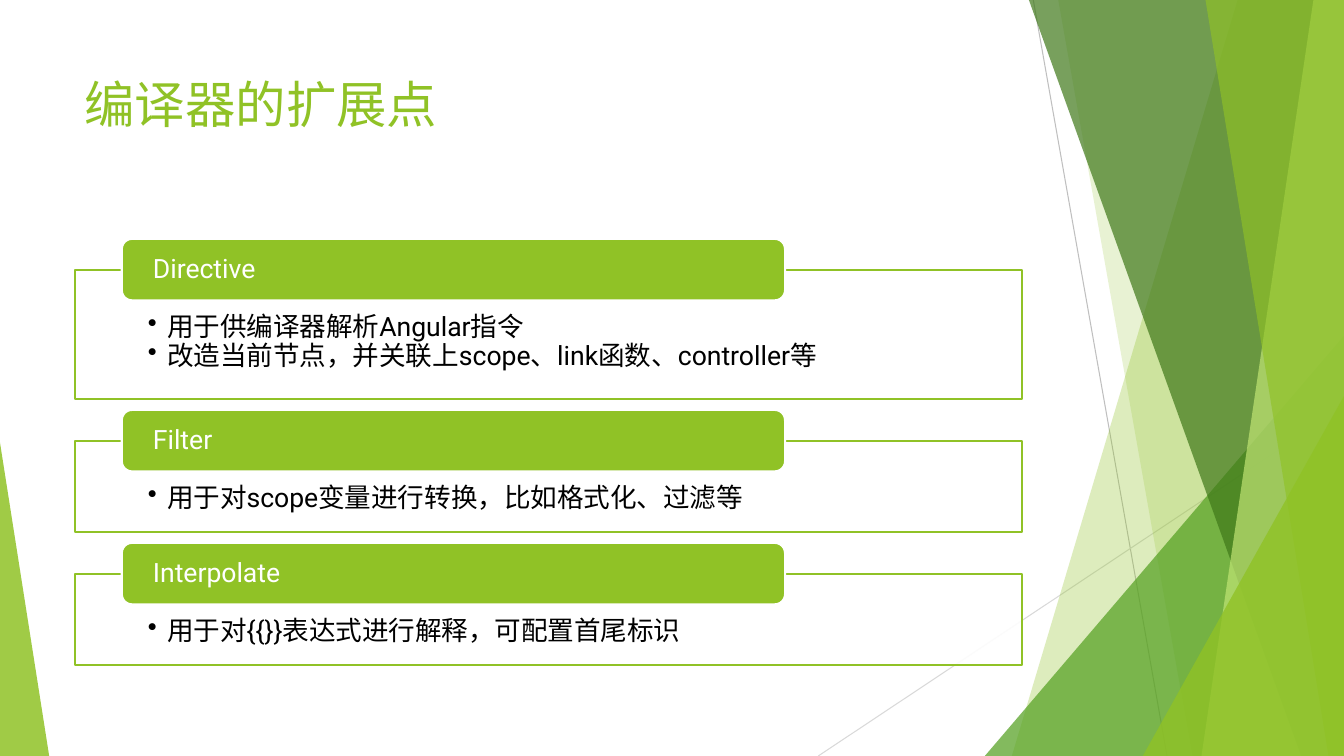
from collections import namedtuple

from lxml import etree
from pptx import Presentation
from pptx.dml.color import RGBColor
from pptx.enum.shapes import MSO_CONNECTOR, MSO_SHAPE
from pptx.enum.text import MSO_ANCHOR, MSO_AUTO_SIZE, PP_ALIGN
from pptx.oxml.ns import qn
from pptx.util import Cm, Pt

STRAIGHT = MSO_CONNECTOR.STRAIGHT
RECTANGLE = MSO_SHAPE.RECTANGLE
ROUNDED = MSO_SHAPE.ROUNDED_RECTANGLE
TRIANGLE = MSO_SHAPE.ISOSCELES_TRIANGLE
TOP, MIDDLE = MSO_ANCHOR.TOP, MSO_ANCHOR.MIDDLE
LEFT = PP_ALIGN.LEFT
NO_AUTOFIT = MSO_AUTO_SIZE.NONE

FONT = "Roboto"
COLORS = {
    "lime": "90C226",
    "green": "54A021",
    "forest": "3F7819",
    "pale": "C0E474",
    "white": "FFFFFF",
    "black": "000000",
    "gray": "BFBFBF",
    "silver": "D9D9D9",
}
Box = namedtuple("Box", "left top width height")
PAGE = Box(0, 0, 33.87, 19.05)
TITLE = Box(1.88, 1.7, 23.88, 3.66)
PANELS = Box(1.88, 6.81, 23.88, 9.95)
PANEL_GAP = 1.06
ONE_LINE_HEIGHT = 2.29
EXTRA_LINE_HEIGHT = 0.96

EXTENSION_POINTS = [
    ("Directive", ["用于供编译器解析Angular指令",
                   "改造当前节点，并关联上scope、link函数、controller等"]),
    ("Filter", ["用于对scope变量进行转换，比如格式化、过滤等"]),
    ("Interpolate", ["用于对{{}}表达式进行解释，可配置首尾标识"]),
]


def color(name):
    return RGBColor.from_string(COLORS[name])


def lengths(box):
    return [Cm(value) for value in box]


def paint(shape, fill, opacity=100, line=None):
    shape.shadow.inherit = False
    shape.fill.solid()
    shape.fill.fore_color.rgb = color(fill)
    if opacity < 100:
        tint = shape.fill._xPr.find(qn("a:solidFill"))[0]
        etree.SubElement(tint, qn("a:alpha"), val=str(opacity * 1000))
    if line:
        shape.line.color.rgb = color(line)
        shape.line.width = Pt(1.5)
    else:
        shape.line.fill.background()


def write(shape, texts, size, ink, insets, anchor, spacing=1.0):
    frame = shape.text_frame
    frame.word_wrap = True
    frame.auto_size = NO_AUTOFIT
    frame.vertical_anchor = anchor
    (frame.margin_left, frame.margin_top,
     frame.margin_right, frame.margin_bottom) = lengths(insets)
    frame.text = "\n".join(texts)
    for para in frame.paragraphs:
        para.alignment = LEFT
        para.line_spacing = spacing
        para.space_after = Pt(0)
        para.font.name = FONT
        para.font.size = Pt(size)
        para.font.color.rgb = color(ink)
    return frame


def add_bullet(para):
    properties = para._p.get_or_add_pPr()
    properties.set("marL", str(Cm(0.48)))
    properties.set("indent", str(-Cm(0.48)))
    bullet = etree.Element(qn("a:buChar"), char="•")
    properties.find(qn("a:defRPr")).addprevious(bullet)


def add_ray(page, start, end, ink):
    ray = page.shapes.add_connector(STRAIGHT, *lengths(start + end))
    ray.line.color.rgb = color(ink)
    ray.line.width = Pt(0.75)
    etree.SubElement(ray._element.spPr, qn("a:effectLst"))


def add_facet(page, box, top_left, bottom_left, fill, opacity):
    right, bottom = box.left + box.width, box.top + box.height
    corners = [(right, box.top), (right, bottom), (bottom_left, bottom)]
    outline = page.shapes.build_freeform(Cm(top_left), Cm(box.top))
    outline.add_line_segments([lengths(corner) for corner in corners])
    paint(outline.convert_to_shape(), fill, opacity)


def add_corner(page, box, left, width, height, apex, fill, opacity):
    place = Box(left, box.top + box.height - height, width, height)
    corner = page.shapes.add_shape(TRIANGLE, *lengths(place))
    corner.adjustments[0] = apex
    paint(corner, fill, opacity)


def add_backdrop(page, box):
    right, bottom = box.left + box.width, box.top + box.height
    add_ray(page, (26.04, box.top), (29.41, bottom), "gray")
    add_ray(page, (right, 10.24), (20.62, bottom), "silver")
    add_facet(page, box, 31.19, 25.5, "lime", 30)
    add_facet(page, box, 26.67, 30.05, "lime", 20)
    add_corner(page, box, right - 9.05, 9.05, 10.59, 1, "green", 72)
    add_facet(page, box, 25.93, 32.79, "forest", 70)
    add_facet(page, box, 33.1, 30.28, "pale", 70)
    add_facet(page, box, 30.38, 33.48, "lime", 65)
    add_corner(page, box, right - 5.07, 5.07, 9.07, 1, "lime", 80)
    add_corner(page, box, box.left, 1.24, 7.9, 0, "lime", 85)


def add_title(page, box, text):
    title = page.shapes.title
    title.left, title.top, title.width, title.height = lengths(box)
    write(title, [text], 36, "lime", Box(0.25, 0.13, 0.25, 0.13), TOP)


def add_panel(page, box, heading, points):
    body = page.shapes.add_shape(RECTANGLE, *lengths(box))
    paint(body, "white", 90, "lime")
    frame = write(body, points, 19, "black",
                  Box(1.85, 1.09, 1.85, 0.38), TOP, 0.9)
    for para in frame.paragraphs:
        add_bullet(para)
    place = Box(box.left + 1.19, box.top - 0.79, box.width * 0.7, 1.55)
    tab = page.shapes.add_shape(ROUNDED, *lengths(place))
    paint(tab, "lime", line="white")
    write(tab, [heading], 19, "white", Box(0.71, 0, 0.71, 0), MIDDLE, 0.9)


def add_panels(page, box):
    top = box.top
    for heading, points in EXTENSION_POINTS:
        height = ONE_LINE_HEIGHT + EXTRA_LINE_HEIGHT * (len(points) - 1)
        add_panel(page, Box(box.left, top, box.width, height), heading, points)
        top += height + PANEL_GAP


deck = Presentation()
deck.slide_width, deck.slide_height = Cm(PAGE.width), Cm(PAGE.height)
page = deck.slides.add_slide(deck.slide_layouts.get_by_name("Title Only"))
add_backdrop(page, PAGE)
add_title(page, TITLE, "编译器的扩展点")
add_panels(page, PANELS)
deck.save("out.pptx")
